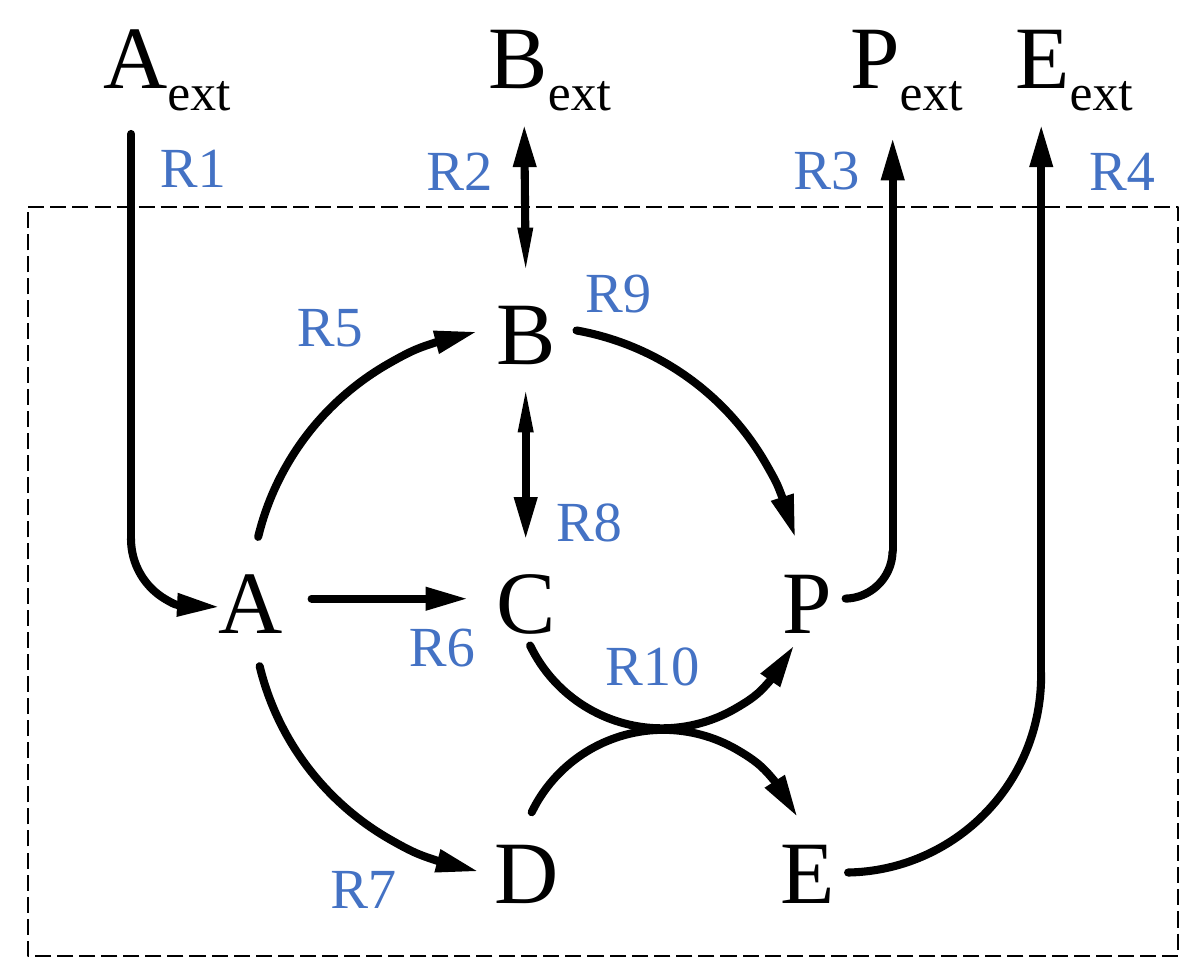
import pptx
import pptx.util
import pptx.dml.color
import pptx.enum.dml
import pptx.enum.shapes
import pptx.enum.text
import pptx.oxml.ns
from lxml import etree

Inches = pptx.util.Inches
Pt = pptx.util.Pt
SHAPES = pptx.enum.shapes.MSO_SHAPE
BLACK = pptx.dml.color.RGBColor(0x00, 0x00, 0x00)
BLUE = pptx.dml.color.RGBColor(0x44, 0x72, 0xC4)
FONT = "Times New Roman"
qn = pptx.oxml.ns.qn


def add_label(left, top, width, height, size, color, name, subscript=""):
    box = slide.shapes.add_textbox(Inches(left), Inches(top), Inches(width), Inches(height))
    box.text_frame.word_wrap = False
    box.text_frame.auto_size = pptx.enum.text.MSO_AUTO_SIZE.SHAPE_TO_FIT_TEXT
    para = box.text_frame.paragraphs[0]
    para.alignment = pptx.enum.text.PP_ALIGN.CENTER
    if subscript:
        para.line_spacing = 1.07
        para.space_after = Pt(8)
    for text in filter(None, (name, subscript)):
        span = para.add_run()
        span.text = text
        span.font.name = FONT
        span.font.size = Pt(size)
        span.font.color.rgb = color
        if text == subscript:
            span.font._element.set("baseline", "-25000")


def style_stroke(shape, head=None, tail=None):
    """Thick round black line; head and tail give the arrowhead widths."""
    shape.line.color.rgb = BLACK
    shape.line.width = Pt(4)
    stroke = shape.line._get_or_add_ln()
    stroke.set("cap", "rnd")
    for end, width in (("a:headEnd", head), ("a:tailEnd", tail)):
        if width:
            etree.SubElement(stroke, qn(end), type="triangle", w=width, len="lg")


# The page is 21 by 17 centimetres
deck = pptx.Presentation()
deck.slide_width = pptx.util.Cm(21)
deck.slide_height = pptx.util.Cm(17)
slide = deck.slides.add_slide(deck.slide_layouts[6])

# System boundary
boundary = slide.shapes.add_shape(SHAPES.RECTANGLE, Inches(0.19), Inches(1.42), Inches(7.9), Inches(5.14))
boundary.shadow.inherit = False
boundary.fill.background()
boundary.line.color.rgb = BLACK
boundary.line.width = Pt(1)
boundary.line.dash_style = pptx.enum.dml.MSO_LINE.LONG_DASH

# External metabolites
for name, left in (("A", 0.57), ("B", 3.2), ("P", 5.65), ("E", 6.8)):
    add_label(left, -0.11, 1.15, 0.85, 44, BLACK, name, "ext")

# Internal metabolites on a grid of three columns and three rows
columns = (1.31, 3.2, 5.13)
for name, column, row in (("B", 1, 0), ("A", 0, 1), ("C", 1, 1), ("P", 2, 1), ("D", 1, 2), ("E", 2, 2)):
    add_label(columns[column], 1.84 + 1.85 * row, 0.83, 0.84, 44, BLACK, name)

# Straight reactions: start, end, head width, tail width
straight_reactions = (
    (0.9, 0.92, 0.9, 3.69, None, None),      # R1
    (3.6, 0.87, 3.61, 1.84, "med", "sm"),    # R2
    (6.13, 3.78, 6.13, 0.96, None, "med"),   # R3
    (7.15, 4.61, 7.15, 0.87, None, "med"),   # R4
    (2.14, 4.11, 3.2, 4.11, None, "med"),    # R6
    (3.61, 2.69, 3.61, 3.69, "sm", "med"),   # R8
)
for x1, y1, x2, y2, head, tail in straight_reactions:
    line = slide.shapes.add_connector(
        pptx.enum.shapes.MSO_CONNECTOR.STRAIGHT, Inches(x1), Inches(y1), Inches(x2), Inches(y2))
    style_stroke(line, head, tail)
    etree.SubElement(line._element.spPr, qn("a:effectLst"))

# Curved reactions: left, top, diameter, rotation, start and end angle, tail width
curved_reactions = (
    (0.9, 3.22, 0.96, 270, 269.82, 13.69, "med"),   # R1
    (5.47, 3.45, 0.66, 270, 1.28, 88.86, None),     # R3
    (4.45, 3.29, 2.7, 270, 1.03, 90.9, None),       # R4
    (1.72, 2.25, 3.76, 90, 283.66, 349.66, "med"),  # R5
    (1.73, 2.25, 3.76, 270, 283.66, 349.66, "med"), # R7
    (1.75, 2.24, 3.76, 90, 10.1, 76.39, "med"),     # R9
    (3.55, 5.01, 2.01, 90, 295.91, 65.43, "med"),   # R10, D to E
    (3.54, 2.99, 2.01, 270, 295.73, 63.6, "med"),   # R10, C to P
)
for left, top, diameter, rotation, start, end, tail in curved_reactions:
    arc = slide.shapes.add_shape(SHAPES.ARC, Inches(left), Inches(top), Inches(diameter), Inches(diameter))
    arc.shadow.inherit = False
    arc.fill.background()
    arc.rotation = rotation
    # Arc adjustments count 60000 per degree, scaled by 100000
    arc.adjustments[0] = start * 0.6
    arc.adjustments[1] = end * 0.6
    frame = arc._element.spPr.xfrm
    frame.set("flipH", "1")
    if rotation == 90:
        frame.set("flipV", "1")
    style_stroke(arc, tail=tail)

# Reaction labels R1 to R10
label_places = ((0.99, 0.85), (2.82, 0.87), (5.34, 0.86), (7.37, 0.87), (1.93, 1.94),
                (2.7, 4.14), (2.16, 5.8), (3.71, 3.28), (3.91, 1.71), (4.03, 4.27))
for number, (left, top) in enumerate(label_places, 1):
    width = 0.67 if number < 10 else 0.9
    add_label(left, top, width, 0.57, 28, BLUE, f"R{number}")

deck.save("out.pptx")
